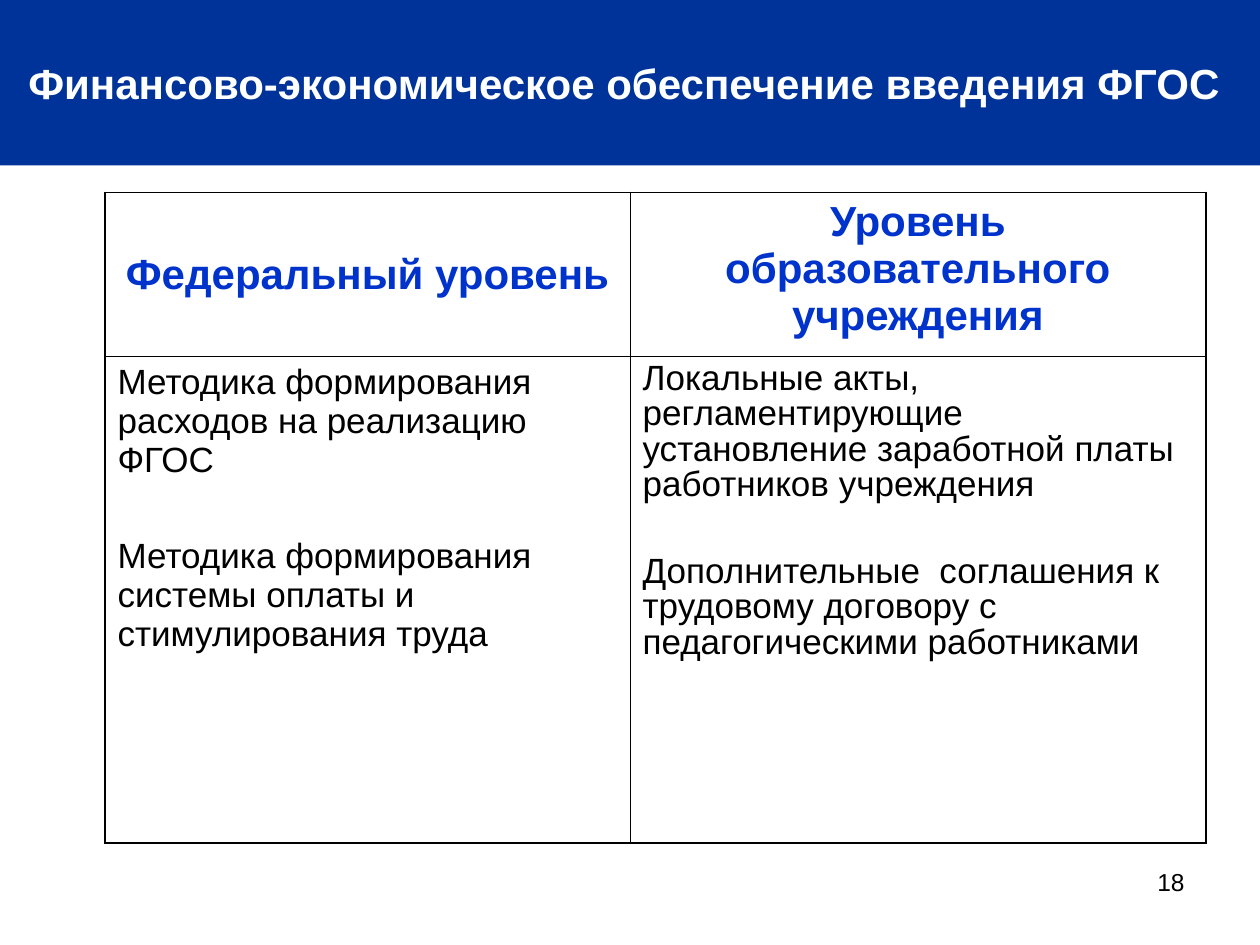
from dataclasses import dataclass

from lxml.etree import SubElement as Sub
from pptx import Presentation as Deck
from pptx.dml.color import RGBColor as Rgb
from pptx.enum.text import MSO_ANCHOR as Anchor, MSO_AUTO_SIZE as Auto, PP_ALIGN as Align
from pptx.oxml.ns import qn
from pptx.util import Pt


@dataclass(frozen=True)
class Theme:
    font: str = "Arial"
    band: str = "003399"
    head: str = "0033CC"
    ink: str = "000000"
    paper: str = "FFFFFF"
    big: int = 24
    body: int = 20
    small: int = 14
    thick: float = 1.08
    thin: float = 0.45


class Page:
    def __init__(self, deck, theme):
        self.theme = theme
        self.slide = deck.slides.add_slide(deck.slide_layouts[5])

    def place(self, shape, left, top, width, height):
        shape.left, shape.top = Pt(left), Pt(top)
        shape.width, shape.height = Pt(width), Pt(height)

    def text(self, frame, lines, size, color, bold=False, align=Align.LEFT, gap=0, lead=1.0):
        frame.word_wrap = True
        for i, line in enumerate(lines):
            para = frame.add_paragraph() if i else frame.paragraphs[0]
            para.alignment = align
            para.line_spacing = lead
            para.space_before = Pt(gap if i else 0)
            run = para.add_run()
            run.text = line
            font = run.font
            font.name, font.size, font.bold = self.theme.font, Pt(size), bold
            font.color.rgb = Rgb.from_string(color)

    def title(self, text, width, height):
        look = self.theme
        shape = self.slide.shapes.title
        self.place(shape, 0, 0, width, height)
        shape.fill.solid()
        shape.fill.fore_color.rgb = Rgb.from_string(look.band)
        frame = shape.text_frame
        frame.auto_size = Auto.NONE
        frame.vertical_anchor = Anchor.MIDDLE
        frame.margin_right = Pt(14)
        self.text(frame, [text], look.big, look.paper, True, Align.CENTER)

    def edge(self, cell, sides):
        props = cell._tc.get_or_add_tcPr()
        for i, (side, width) in enumerate(sides.items()):
            line = Sub(props, qn(f"a:ln{side}"), w=str(Pt(width)))
            fill = Sub(line, qn("a:solidFill"))
            Sub(fill, qn("a:srgbClr"), val=self.theme.ink)
            props.insert(i, line)

    def table(self, left, top, cols, rows, heads, bodies):
        look = self.theme
        grid = self.slide.shapes.add_table(
            len(rows), len(cols), Pt(left), Pt(top), Pt(sum(cols)), Pt(sum(rows))
        ).table
        grid.first_row = grid.horz_banding = False
        for col, width in zip(grid.columns, cols):
            col.width = Pt(width)
        for row, height in zip(grid.rows, rows):
            row.height = Pt(height)
        for c, (head, anchor) in enumerate(heads):
            cell = grid.cell(0, c)
            cell.vertical_anchor = anchor
            self.text(cell.text_frame, [head], look.big, look.head, True, Align.CENTER)
        for c, (lines, gap, lead) in enumerate(bodies):
            self.text(grid.cell(1, c).text_frame, lines, look.body, look.ink, gap=gap, lead=lead)
        for r in range(len(rows)):
            for c in range(len(cols)):
                outer = {
                    "L": c == 0,
                    "R": c == len(cols) - 1,
                    "T": r == 0,
                    "B": r == len(rows) - 1,
                }
                cell = grid.cell(r, c)
                cell.fill.background()
                self.edge(cell, {k: look.thick if v else look.thin for k, v in outer.items()})

    def number(self, text, left, top, width, height):
        look = self.theme
        box = self.slide.shapes.add_textbox(Pt(left), Pt(top), Pt(width), Pt(height))
        self.text(box.text_frame, [text], look.small, look.ink, align=Align.RIGHT)


def main():
    deck = Deck()
    deck.slide_width, deck.slide_height = Pt(720), Pt(540)
    page = Page(deck, Theme())
    page.number("18", 516, 492, 168, 37)
    page.title("Финансово-экономическое обеспечение введения ФГОС", 720, 94.5)
    page.table(
        60, 110, (300, 329), (93.6, 278),
        [
            ("Федеральный уровень", Anchor.MIDDLE),
            ("Уровень образовательного учреждения", Anchor.TOP),
        ],
        [
            ([
                "Методика формирования расходов на реализацию ФГОС",
                "Методика формирования системы оплаты и стимулирования труда",
            ], 32.5, 1.0),
            ([
                "Локальные акты, регламентирующие установление заработной платы работников учреждения",
                "Дополнительные  соглашения к трудовому договору с педагогическими работниками",
            ], 30, 0.9),
        ],
    )
    deck.save("out.pptx")


if __name__ == "__main__":
    main()
